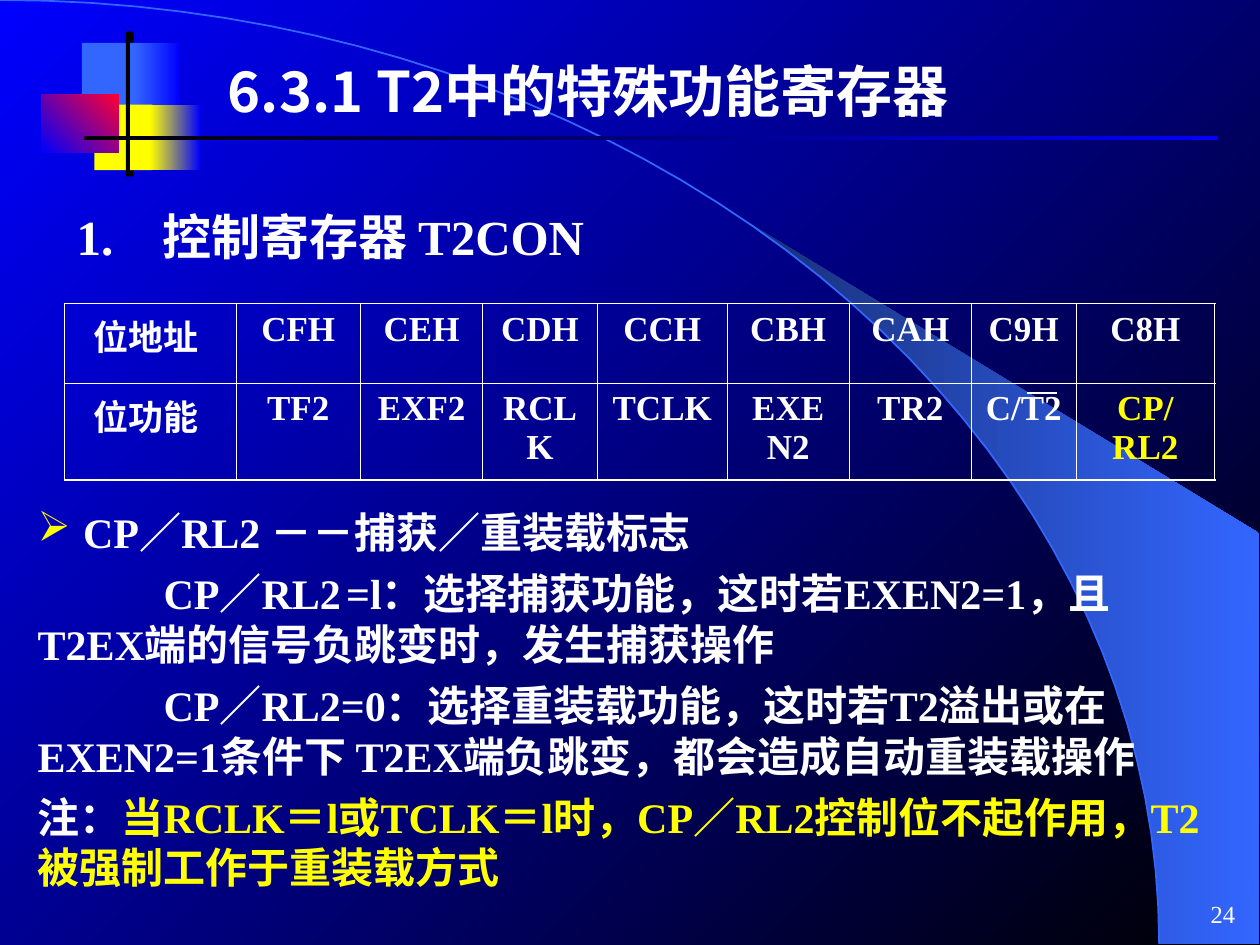
from math import cos, radians, sin

from lxml import etree
from pptx import Presentation
from pptx.dml.color import RGBColor
from pptx.enum.shapes import MSO_CONNECTOR, MSO_SHAPE
from pptx.enum.text import MSO_ANCHOR, PP_ALIGN
from pptx.oxml.ns import qn
from pptx.util import Pt

RECTANGLE = MSO_SHAPE.RECTANGLE
STRAIGHT = MSO_CONNECTOR.STRAIGHT
TOP, MIDDLE = MSO_ANCHOR.TOP, MSO_ANCHOR.MIDDLE
LEFT, CENTER = PP_ALIGN.LEFT, PP_ALIGN.CENTER

COLORS = {
    "white": "FFFFFF", "black": "000000", "blue": "0000FF", "sky": "3366FF",
    "navy": "182F76", "yellow": "FFFF00", "red": "FF0033",
}
SERIF = "Times New Roman"
CJK = "Noto Sans CJK SC"
ARC_WIDTH, ARC_HEIGHT = 662.4, 539.3

COLUMN_WIDTHS = [97.9, 71.3, 69.8, 65.5, 74.2, 69.8, 69.8, 59.8, 79.2]
ROW_HEIGHTS = [45.4, 39.6]
REGISTER_BITS = [
    ["位地址 ", "CFH", "CEH", "CDH", "CCH", "CBH", "CAH", "C9H", "C8H"],
    ["位功能 ", "TF2", "EXF2", "RCLK", "TCLK", "EXEN2", "TR2", "C/T2", "CP/RL2"],
]


def rgb(color):
    return RGBColor.from_string(COLORS[color])


def paint(fill, colors, angle=0):
    """Fill with one colour, or with a gradient turned clockwise by angle."""
    if len(colors) == 1:
        fill.solid()
        fill.fore_color.rgb = rgb(colors[0])
        return
    fill.gradient()
    fill.gradient_angle = (360 - angle) % 360
    for stop, color in zip(fill.gradient_stops, colors):
        stop.color.rgb = rgb(color)


def add_block(slide, left, top, width, height, colors, angle=0):
    block = slide.shapes.add_shape(RECTANGLE, Pt(left), Pt(top), Pt(width), Pt(height))
    block.shadow.inherit = False
    paint(block.fill, colors, angle)
    block.line.fill.background()


def arc_points(start, end, steps=40):
    """Points on the quarter ellipse centred on the lower left corner."""
    angles = [radians(start + (end - start) * i / steps) for i in range(steps + 1)]
    return [(Pt(ARC_WIDTH * sin(a)), Pt(ARC_HEIGHT * (1 - cos(a)))) for a in angles]


def add_outline(slide, points, close):
    builder = slide.shapes.build_freeform(*points[0], scale=1.0)
    builder.add_line_segments(points[1:], close=close)
    outline = builder.convert_to_shape()
    outline.shadow.inherit = False
    return outline


def add_backdrop(slide):
    paint(slide.background.fill, ["blue", "black"], 45)
    edge = [(Pt(719.3), Pt(ARC_HEIGHT)), (Pt(719.3), Pt(304.6))]
    crescent = add_outline(slide, arc_points(39.8, 90) + edge, True)
    paint(crescent.fill, ["navy", "sky"])
    crescent.line.fill.background()
    arc = add_outline(slide, arc_points(0, 90), False)
    arc.fill.background()
    arc.line.color.rgb = rgb("sky")
    arc.line.width = Pt(1)


def add_emblem(slide):
    add_block(slide, 74.2, 18, 2.2, 82.8, ["black"])
    add_block(slide, 46.8, 24.5, 34.6, 37.4, ["sky"])
    add_block(slide, 77, 24.5, 25.9, 37.4, ["sky", "blue"])
    add_block(slide, 54, 59.8, 33.1, 37.4, ["yellow"])
    add_block(slide, 85.7, 59.8, 28.8, 37.4, ["yellow", "blue"])
    add_block(slide, 23.8, 54, 43.9, 33.1, ["blue", "red"], 315)
    add_block(slide, 72, 18, 2.2, 82.8, ["black"])
    add_block(slide, 48.2, 77.8, 648, 2.2, ["black", "blue"])


def add_bullet(paragraph, char, color, indent):
    properties = paragraph._p.get_or_add_pPr()
    properties.set("marL", str(Pt(indent)))
    properties.set("indent", str(-Pt(indent)))
    bullet_color = etree.SubElement(properties, qn("a:buClr"))
    etree.SubElement(bullet_color, qn("a:srgbClr"), val=COLORS[color])
    etree.SubElement(properties, qn("a:buChar"), char=char)


def add_tab(paragraph, position):
    stops = etree.SubElement(paragraph._p.get_or_add_pPr(), qn("a:tabLst"))
    etree.SubElement(stops, qn("a:tab"), pos=str(Pt(position)), algn="l")


def style(paragraph, size, font=SERIF, color="white", bold=True, align=LEFT):
    paragraph.alignment = align
    paragraph.font.size = Pt(size)
    paragraph.font.bold = bold
    paragraph.font.color.rgb = rgb(color)
    paragraph.font.name = font
    defaults = paragraph._p.pPr.find(qn("a:defRPr"))
    etree.SubElement(defaults, qn("a:ea"), typeface=CJK)


def add_text_frame(slide, left, top, width, height, anchor=TOP, top_margin=3.6):
    box = slide.shapes.add_textbox(Pt(left), Pt(top), Pt(width), Pt(height))
    frame = box.text_frame
    frame.word_wrap = True
    frame.vertical_anchor = anchor
    frame.margin_top = Pt(top_margin)
    return frame


def add_label(slide, text, place, size, **look):
    """One line of text, centred vertically in its place."""
    paragraph = add_text_frame(slide, *place, anchor=MIDDLE).paragraphs[0]
    paragraph.add_run().text = text
    style(paragraph, size, **look)


def add_section_heading(slide):
    heading = add_text_frame(slide, 36.7, 111.6, 375.1, 41, top_margin=6.5).paragraphs[0]
    heading.add_run().text = "1.\t控制寄存器 T2CON"
    add_tab(heading, 49)
    style(heading, 28)
    heading.line_spacing = Pt(33.8)


def set_borders(cell, widths):
    """Draw white borders; widths are for left, right, top and bottom."""
    properties = cell._tc.get_or_add_tcPr()
    for position, (side, width) in enumerate(zip("LRTB", widths)):
        border = etree.Element(qn(f"a:ln{side}"), w=str(Pt(width)))
        fill = etree.SubElement(border, qn("a:solidFill"))
        etree.SubElement(fill, qn("a:srgbClr"), val=COLORS["white"])
        properties.insert(position, border)


def add_register_table(slide):
    rows, columns = len(ROW_HEIGHTS), len(COLUMN_WIDTHS)
    table = slide.shapes.add_table(
        rows, columns, Pt(36.9), Pt(173.5),
        Pt(sum(COLUMN_WIDTHS)), Pt(sum(ROW_HEIGHTS))).table
    for column, width in zip(table.columns, COLUMN_WIDTHS):
        column.width = Pt(width)
    for r, (names, height) in enumerate(zip(REGISTER_BITS, ROW_HEIGHTS)):
        table.rows[r].height = Pt(height)
        for c, name in enumerate(names):
            cell = table.cell(r, c)
            cell.fill.background()
            outer = (c == 0, c == columns - 1, r == 0, r == rows - 1)
            set_borders(cell, [1.08 if side else 0.45 for side in outer])
            paragraph = cell.text_frame.paragraphs[0]
            paragraph.add_run().text = name
            style(paragraph, 20, font=SERIF if c else CJK, align=CENTER,
                  color="yellow" if name == "CP/RL2" else "white")


def add_overline(slide, left, right, y):
    line = slide.shapes.add_connector(STRAIGHT, Pt(left), Pt(y), Pt(right), Pt(y))
    line.line.color.rgb = rgb("white")
    line.line.width = Pt(0.75)
    etree.SubElement(line._element.spPr, qn("a:effectLst"))


def add_explanation(slide):
    frame = add_text_frame(slide, 14.4, 283, 686.2, 226.8, top_margin=6.5)
    paragraphs = [
        ["CP／RL2 －－捕获／重装载标志"],
        ["\tCP／RL2", " ", "=l：选择捕获功能，这时若EXEN2=1，且T2EX端的信号负跳变时，发生捕获操作"],
        ["\tCP／RL2=0：选择重装载功能，这时若T2溢出或在EXEN2=1条件下 T2EX端负跳变，都会造成自动重装载操作"],
        ["注：", "当RCLK＝l或TCLK＝l时，CP／RL2控制位不起作用，T2 被强制工作于重装载方式"],
    ]
    for number, texts in enumerate(paragraphs):
        paragraph = frame.add_paragraph() if number else frame.paragraphs[0]
        for text in texts:
            paragraph.add_run().text = text
        if number == 0:
            add_bullet(paragraph, "➢", "yellow", 26)
        elif texts[0].startswith("\t"):
            add_tab(paragraph, 72)
        style(paragraph, 24)
        paragraph.line_spacing = Pt(28.9)
        if number:
            paragraph.space_before = Pt(6)
    frame.paragraphs[1].runs[1].font.size = Pt(12)
    frame.paragraphs[3].runs[1].font.color.rgb = rgb("yellow")


def main():
    deck = Presentation()
    deck.slide_width, deck.slide_height = Pt(720), Pt(540)
    slide = deck.slides.add_slide(deck.slide_layouts[6])
    add_backdrop(slide)
    add_emblem(slide)
    add_label(slide, "24", (677.5, 504, 42.5, 36), 14, bold=False, align=CENTER)
    add_section_heading(slide)
    add_register_table(slide)
    add_label(slide, "6.3.1 T2中的特殊功能寄存器", (123.1, 25.9, 503.3, 51.1), 32, font=CJK)
    add_explanation(slide)
    add_overline(slide, 586.8, 604.1, 224.6)
    deck.save("out.pptx")


if __name__ == "__main__":
    main()
